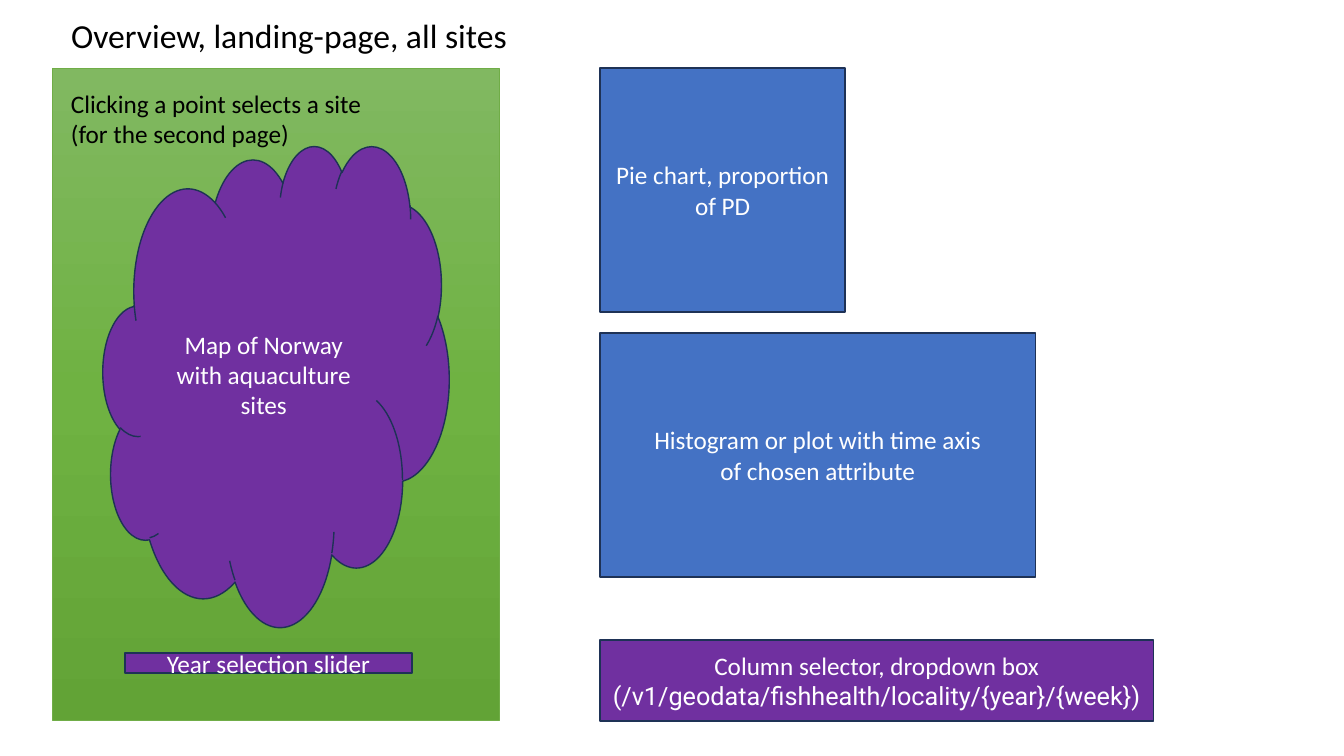
from copy import deepcopy

from pptx import Presentation
from pptx.dml.color import RGBColor
from pptx.enum.shapes import MSO_SHAPE
from pptx.enum.text import MSO_ANCHOR, MSO_AUTO_SIZE, PP_ALIGN
from pptx.oxml.ns import qn
from pptx.util import Inches, Pt

RECT, CLOUD = MSO_SHAPE.RECTANGLE, MSO_SHAPE.CLOUD
LEFT, CENTER = PP_ALIGN.LEFT, PP_ALIGN.CENTER
TOP, MIDDLE = MSO_ANCHOR.TOP, MSO_ANCHOR.MIDDLE
NO_FIT = MSO_AUTO_SIZE.NONE

SCALE = 914400 / 100.8
BLACK = RGBColor(0x00, 0x00, 0x00)
WHITE = RGBColor(0xFF, 0xFF, 0xFF)
PURPLE = RGBColor(0x70, 0x30, 0xA0)
BLUE = RGBColor(0x44, 0x72, 0xC4)
NAVY = RGBColor(0x1E, 0x32, 0x56)
GREEN = RGBColor(0x70, 0xAD, 0x47)
FADE = [RGBColor(0x81, 0xB8, 0x61), RGBColor(0x6F, 0xB2, 0x42),
        RGBColor(0x62, 0xA3, 0x36)]

SIDE = 600    # left edge of the right-hand column
EDGE = 68     # top edge of the panel and the pie
TALL = 244    # height of both chart boxes


def px(*sizes):
    return [round(size * SCALE) for size in sizes]


def write(frame, lines, color, align, size=18):
    frame.text = "\n".join(lines)
    for para in frame.paragraphs:
        para.alignment = align
        para.font.name = "Calibri"
        para.font.size = Pt(size)
        para.font.color.rgb = color


def add_box(slide, kind, place, fill, lines):
    box = slide.shapes.add_shape(kind, *px(*place))
    box.shadow.inherit = False
    box.fill.solid()
    box.fill.fore_color.rgb = fill
    box.line.color.rgb = NAVY
    box.line.width = Pt(1)
    frame = box.text_frame
    frame.word_wrap = True
    frame.vertical_anchor = MIDDLE
    write(frame, lines, WHITE, CENTER)
    return box


def add_panel(slide, place):
    panel = slide.shapes.add_shape(RECT, *px(*place))
    panel.shadow.inherit = False
    panel.line.color.rgb = GREEN
    panel.line.width = Pt(0.5)
    fill = panel.fill
    fill.gradient()
    fill.gradient_angle = 270
    # The default gradient has two stops: add a third
    stops = panel._element.spPr.find(".//" + qn("a:gsLst"))
    stops.append(deepcopy(stops[-1]))
    for i, (stop, color) in enumerate(zip(fill.gradient_stops, FADE)):
        stop.position = i / 2
        stop.color.rgb = color


def set_title(slide, place, text):
    title = slide.shapes.title
    title.left, title.top, title.width, title.height = px(*place)
    frame = title.text_frame
    frame.word_wrap = False
    frame.auto_size = NO_FIT
    frame.vertical_anchor = TOP
    write(frame, [text], BLACK, LEFT, 24)


def add_note(slide, place, lines):
    note = slide.shapes.add_textbox(*px(*place))
    note.text_frame.word_wrap = False
    write(note.text_frame, lines, BLACK, LEFT)


def main():
    deck = Presentation()
    deck.slide_width, deck.slide_height = Inches(13.33), Inches(7.5)
    slide = deck.slides.add_slide(deck.slide_layouts[5])
    set_title(slide, (61, 10, 461, 50), "Overview, landing-page, all sites")

    # Map panel
    add_panel(slide, (52, EDGE, 447, 652))
    add_box(slide, CLOUD, (103, 145, 346, 481), PURPLE,
            ["Map of Norway with aquaculture sites"])
    add_note(slide, (61, 83, 327, 72),
             ["Clicking a point selects a site", "(for the second page)"])
    add_box(slide, RECT, (125, 653, 287, 20), PURPLE,
            ["Year selection slider"])

    # Charts and column selector
    add_box(slide, RECT, (SIDE, EDGE, 245, TALL), BLUE,
            ["Pie chart, proportion of PD"])
    add_box(slide, RECT, (SIDE, 333, 435, TALL), BLUE,
            ["Histogram or plot with time axis", "of chosen attribute"])
    picker = add_box(slide, RECT, (SIDE, 640, 553, 81), PURPLE,
                     ["Column selector, dropdown box",
                      "(/v1/geodata/fishhealth/locality/{year}/{week})"])
    picker.text_frame.paragraphs[1].font.name = "Roboto"

    deck.save("out.pptx")


main()
